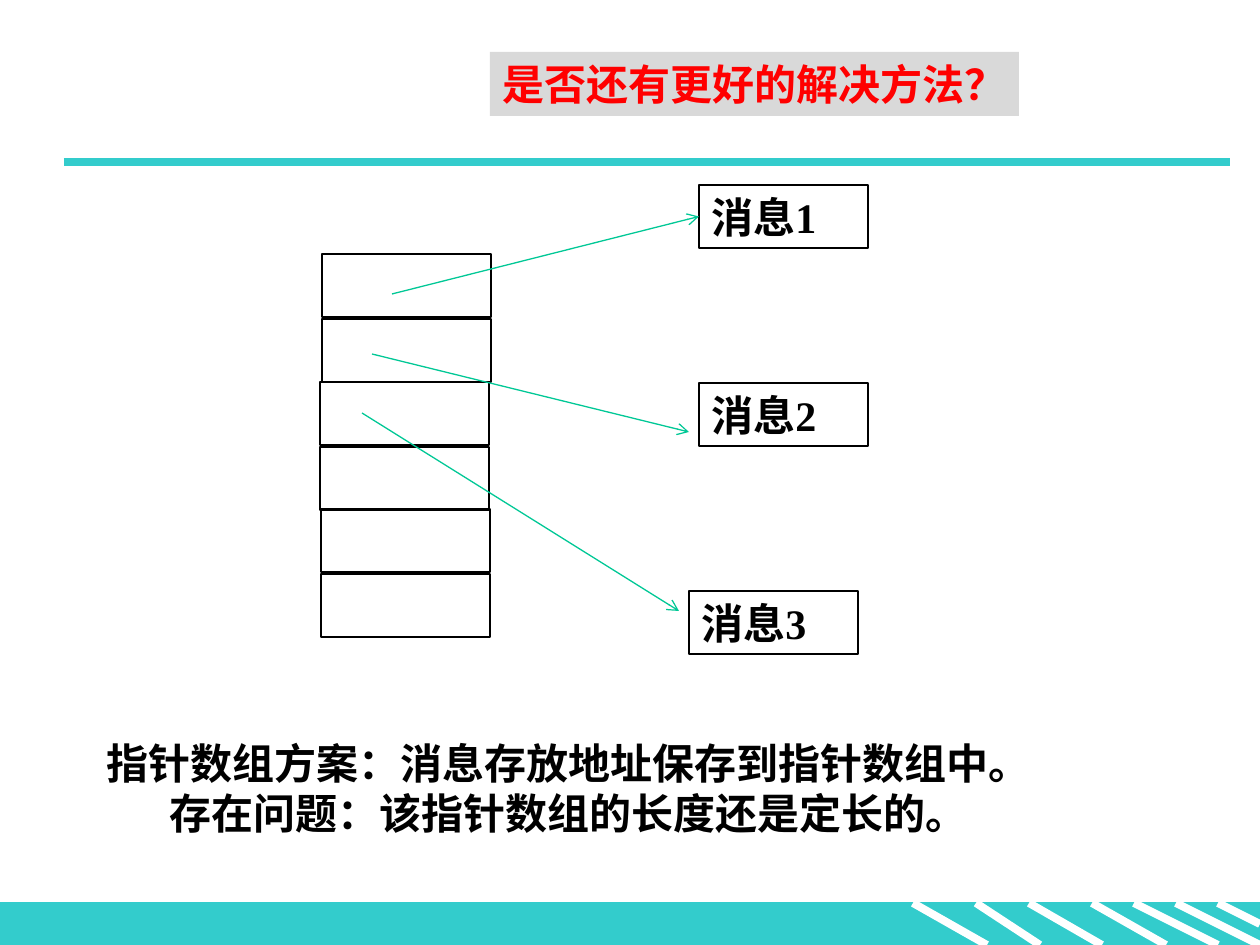
from dataclasses import dataclass

from lxml.etree import SubElement
from pptx import Presentation
from pptx.dml.color import RGBColor
from pptx.enum.shapes import MSO_CONNECTOR, MSO_SHAPE
from pptx.enum.text import MSO_ANCHOR, PP_ALIGN
from pptx.oxml.ns import qn
from pptx.util import Emu, Pt


@dataclass(frozen=True)
class Theme:
    teal: RGBColor = RGBColor(0x33, 0xCC, 0xCC)
    green: RGBColor = RGBColor(0x00, 0xC8, 0x96)
    red: RGBColor = RGBColor(0xFF, 0x00, 0x00)
    gray: RGBColor = RGBColor(0xD9, 0xD9, 0xD9)
    white: RGBColor = RGBColor(0xFF, 0xFF, 0xFF)
    black: RGBColor = RGBColor(0x00, 0x00, 0x00)
    text_size: int = 24
    thin: float = 0.75
    thick: float = 4.5
    serif: str = "Times New Roman"
    sans: str = "Arial"


theme = Theme()
PX = 914400 / 126

deck = Presentation()
deck.slide_width, deck.slide_height = Emu(round(1260 * PX)), Emu(round(945 * PX))
page = deck.slides.add_slide(deck.slide_layouts[6])


def add_box(place, lines=(), fill=None, outline=None, font=theme.serif, color=theme.black):
    box = page.shapes.add_shape(MSO_SHAPE.RECTANGLE, *(Emu(round(v * PX)) for v in place))
    box.shadow.inherit = False
    if fill is None:
        box.fill.background()
    else:
        box.fill.solid()
        box.fill.fore_color.rgb = fill
    if outline is None:
        box.line.fill.background()
    else:
        box.line.color.rgb = outline
        box.line.width = Pt(theme.thin)
    frame = box.text_frame
    frame.word_wrap = True
    frame.vertical_anchor = MSO_ANCHOR.TOP
    frame.text = "\n".join(lines)
    for para in frame.paragraphs:
        para.alignment = PP_ALIGN.LEFT
        for span in para.runs:
            span.font.size = Pt(theme.text_size)
            span.font.name = font
            span.font.bold = True
            span.font.color.rgb = color
    return box


def add_line(start, end, color, width, arrow=False):
    ends = (Emu(round(v * PX)) for v in (*start, *end))
    line = page.shapes.add_connector(MSO_CONNECTOR.STRAIGHT, *ends)
    line.line.color.rgb = color
    line.line.width = Pt(width)
    if arrow:
        SubElement(line.line._get_or_add_ln(), qn("a:tailEnd"), type="arrow")
    SubElement(line._element.spPr, qn("a:effectLst"))
    return line


# Footer band with slanted stripes
add_box((0, 903, 1260, 42), fill=theme.teal, outline=theme.teal)
stripes = [(913, 987, 945), (976, 1040, 945), (1029, 1102, 945), (1092, 1166, 945),
           (1134, 1218, 945), (1176, 1260, 945), (1218, 1260, 924)]
for left, right, bottom in stripes:
    add_line((left, 903), (right, bottom), theme.white, theme.thick)

# Rule under the title
add_line((64, 162), (1230, 162), theme.teal, theme.thick)

# Messages
messages = []
for number, (left, top) in enumerate([(699, 185), (699, 383), (689, 591)], start=1):
    messages.append(add_box((left, top, 169, 63), [f"消息{number}"], outline=theme.black))

# Pointer array
for left, top in [(322, 254), (322, 319), (320, 382), (320, 447), (321, 509), (321, 574)]:
    add_box((left, top, 169, 63), outline=theme.black)

# Pointers to the messages
pointers = [((392, 294), (699, 217)), ((372, 354), (689, 432)), ((362, 413), (679, 611))]
arrows = [add_line(start, end, theme.green, theme.thin, arrow=True) for start, end in pointers]
arrows[0].end_connect(messages[0], 1)

# Explanation
add_box((94, 731, 1066, 113),
        ["指针数组方案：消息存放地址保存到指针数组中。", "\t存在问题：该指针数组的长度还是定长的。"])

# Title
add_box((490, 52, 529, 64), ["是否还有更好的解决方法？"], fill=theme.gray,
        font=theme.sans, color=theme.red)

deck.save("out.pptx")
